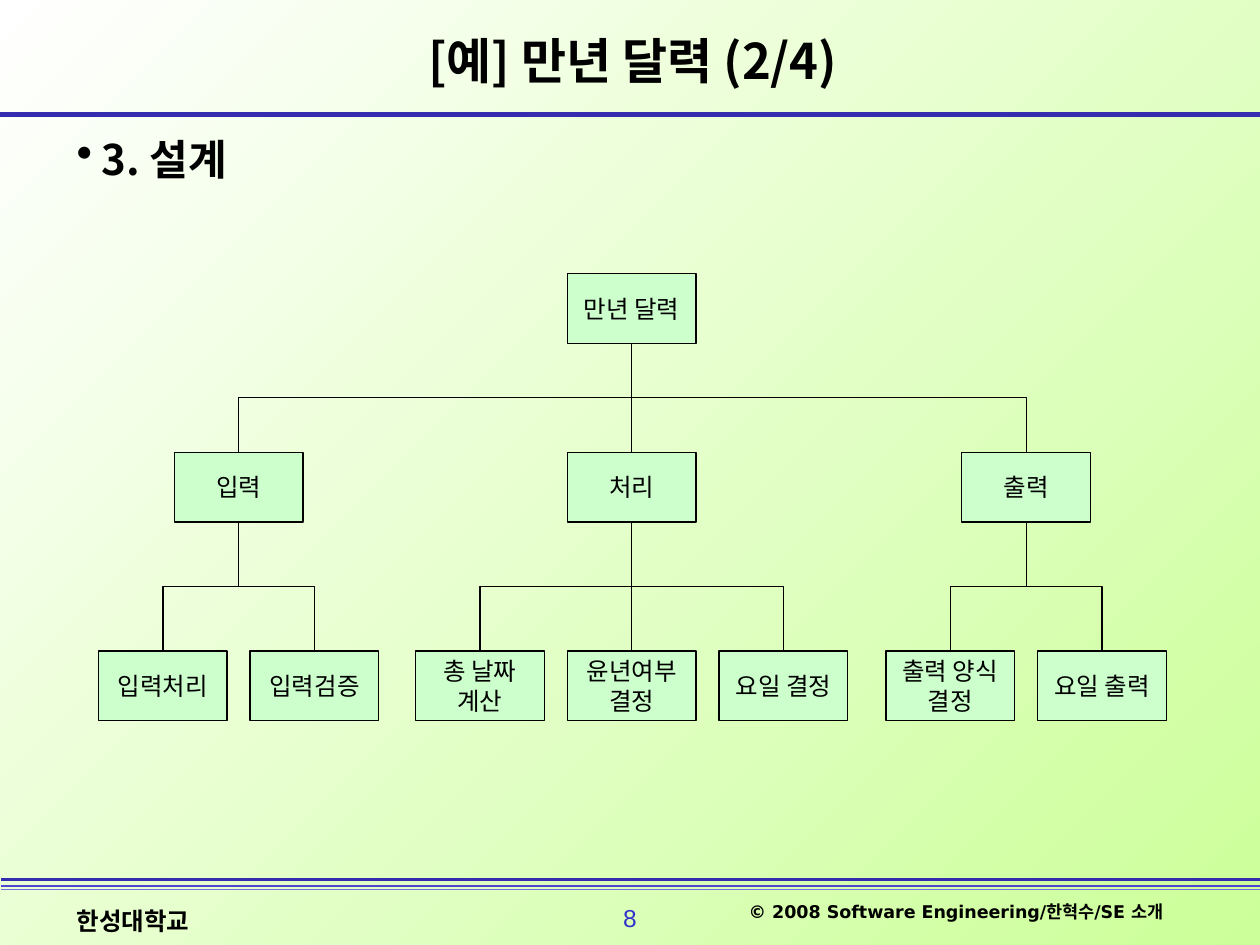
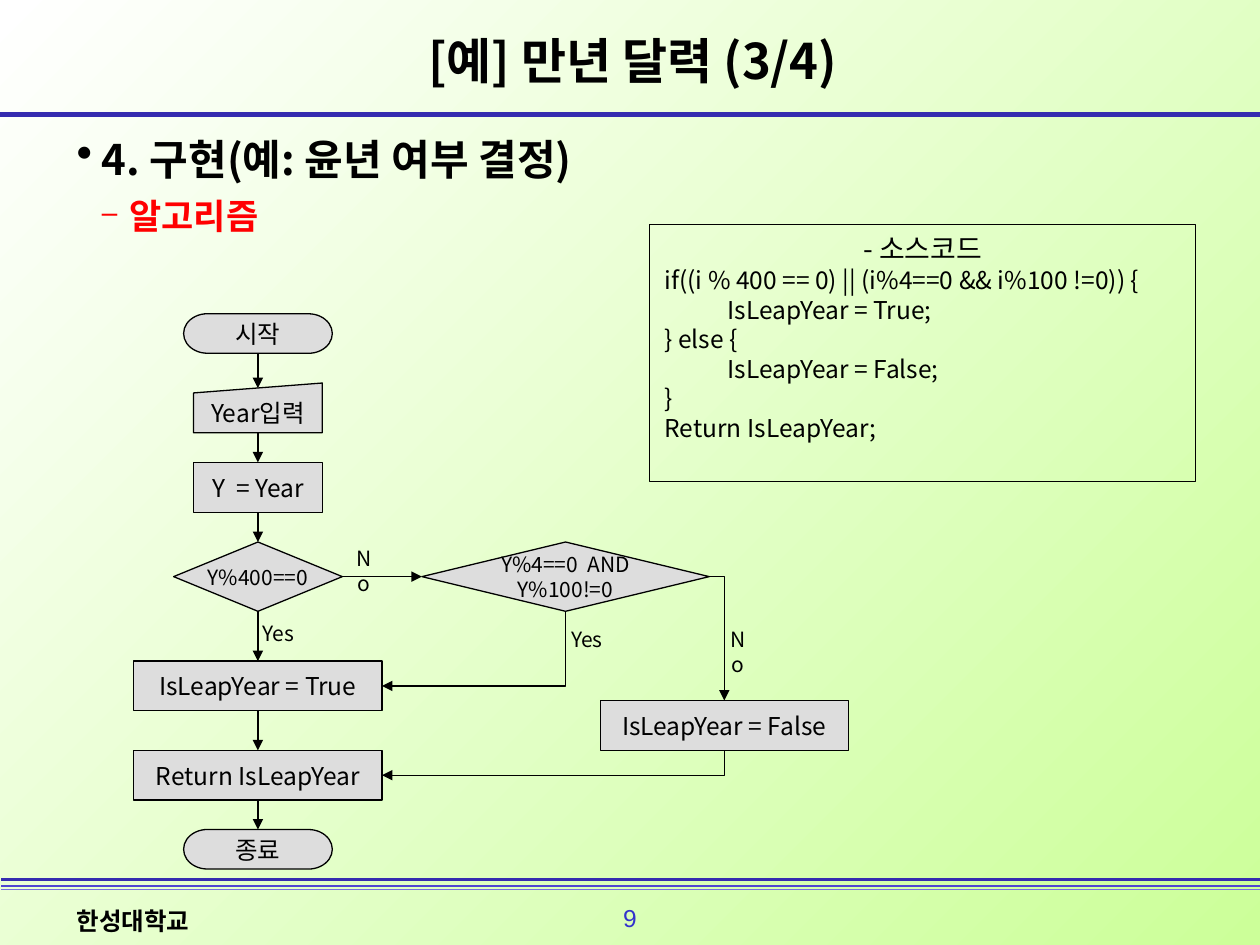
from lxml.etree import SubElement
from pptx import Presentation
from pptx.dml.color import RGBColor
from pptx.enum.shapes import MSO_CONNECTOR, MSO_SHAPE
from pptx.enum.text import MSO_ANCHOR, PP_ALIGN
from pptx.oxml.ns import qn
from pptx.util import Pt

COLORS = {
    "black": "000000", "white": "FFFFFF", "lime": "CCFF99", "mint": "CCFFCC",
    "gray": "DDDDDD", "red": "FF0000", "number": "3333CC",
    "band_dark": "352CB0", "band": "4F45D1", "band_light": "7870DC",
}
KOREAN = "Noto Sans CJK KR"
LINE_HEIGHT = 1.2
TOP, LEFT, BOTTOM, RIGHT = range(4)
BANDS = [
    (-3, 65.5, 723, "band_dark", 3),
    (0.7, 506.2, 720, "band", 1.5),
    (0.7, 508.3, 720, "band_light", 1),
    (0.7, 502.6, 720, "band_dark", 2.25),
]


def rgb(name):
    return RGBColor.from_string(COLORS[name])


def add_run(paragraph, text, size, color="black", bold=False, font=KOREAN):
    run = paragraph.add_run()
    run.text = text
    run.font.size = Pt(size)
    run.font.bold = bold
    run.font.name = font
    run.font.color.rgb = rgb(color)
    east_asian = SubElement(run.font._element, qn("a:ea"))
    east_asian.set("typeface", KOREAN)
    if font == KOREAN:
        paragraph.line_spacing = Pt(size * LINE_HEIGHT)


def set_frame(shape, insets, wrap, anchor):
    frame = shape.text_frame
    frame.margin_left, frame.margin_top, frame.margin_right, frame.margin_bottom = map(Pt, insets)
    frame.word_wrap = wrap
    frame.vertical_anchor = anchor
    return frame


def write_lines(frame, lines, size, align, **style):
    for index, line in enumerate(lines):
        paragraph = frame.paragraphs[0] if index == 0 else frame.add_paragraph()
        paragraph.alignment = align
        add_run(paragraph, line, size, **style)


def add_text(slide, box, text, size, align=PP_ALIGN.LEFT, wrap=True,
             anchor=MSO_ANCHOR.TOP, insets=(7.2, 3.6, 7.2, 3.6), **style):
    shape = slide.shapes.add_textbox(*map(Pt, box))
    write_lines(set_frame(shape, insets, wrap, anchor), [text], size, align, **style)


def add_node(slide, kind, center, top, width, height, text, fill, size=14):
    shape = slide.shapes.add_shape(
        kind, Pt(center - width / 2), Pt(top), Pt(width), Pt(height))
    shape.shadow.inherit = False
    shape.fill.solid()
    shape.fill.fore_color.rgb = rgb(fill)
    shape.line.color.rgb = rgb("black")
    shape.line.width = Pt(0.75)
    frame = set_frame(shape, (8.6, 4.3, 8.6, 4.3), False, MSO_ANCHOR.MIDDLE)
    write_lines(frame, text.split("\n"), size, PP_ALIGN.CENTER)
    return shape


def add_line(slide, start, end, kind=MSO_CONNECTOR.STRAIGHT, color="black",
             width=0.75, arrow=False):
    connector = slide.shapes.add_connector(kind, *map(Pt, (*start, *end)))
    connector.line.color.rgb = rgb(color)
    connector.line.width = Pt(width)
    if arrow:
        SubElement(connector.line._ln, qn("a:tailEnd")).set("type", "triangle")
    SubElement(connector._element.spPr, qn("a:effectLst"))
    return connector


def side(shape, index):
    x, y = shape.left.pt, shape.top.pt
    width, height = shape.width.pt, shape.height.pt
    return [(x + width / 2, y), (x, y + height / 2),
            (x + width / 2, y + height), (x + width, y + height / 2)][index]


def link(slide, first, second, begin=BOTTOM, end=TOP, arrow=False):
    connector = add_line(slide, side(first, begin), side(second, end), arrow=arrow)
    connector.begin_connect(first, begin)
    connector.end_connect(second, end)


def add_elbow(slide, start, end, down_first=True, corner=False, arrow=False):
    (x1, y1), (x2, y2) = start, end
    if down_first:
        middle_x, middle_y = (x1 + x2) / 2, (y1 + y2) / 2
        half_width, half_height = (y2 - y1) / 2, abs(x2 - x1) / 2
        start = middle_x - half_width, middle_y - half_height
        end = middle_x + half_width, middle_y + half_height
    connector = add_line(slide, start, end, MSO_CONNECTOR.ELBOW, arrow=arrow)
    properties = connector._element.spPr
    if down_first:
        transform = properties.find(qn("a:xfrm"))
        transform.set("rot", "5400000" if x2 < x1 else "16200000")
        if x2 > x1:
            transform.set("flipH", "1")
    if corner:
        properties.find(qn("a:prstGeom")).set("prst", "bentConnector2")


def add_bullet(frame, text, size, mark, percent, margin, hanging, color="black"):
    first = not frame.paragraphs[0].runs
    paragraph = frame.paragraphs[0] if first else frame.add_paragraph()
    properties = paragraph._p.get_or_add_pPr()
    properties.set("marL", str(Pt(margin)))
    properties.set("indent", str(-Pt(hanging)))
    SubElement(properties, qn("a:buSzPct")).set("val", str(percent * 1000))
    SubElement(properties, qn("a:buChar")).set("char", mark)
    if not first:
        paragraph.space_before = Pt(6)
    add_run(paragraph, text, size, color, bold=True)


def start_slide(presentation, title, number, heading, subheading=None):
    slide = presentation.slides.add_slide(presentation.slide_layouts[6])
    background = slide.background.fill
    background.gradient()
    background.gradient_angle = 315
    for stop, color in zip(background.gradient_stops, ("white", "lime")):
        stop.color.rgb = rgb(color)
    for left, y, length, color, width in BANDS:
        add_line(slide, (left, y), (left + length, y), color=color, width=width)
    add_text(slide, (344, 512.6, 32, 24), str(number), 14, PP_ALIGN.CENTER,
             wrap=False, color="number", font="Arial")
    add_text(slide, (36.7, 514, 204.5, 24), "한성대학교", 14, bold=True)
    add_text(slide, (178.6, 22, 365.8, 25), title, 28, PP_ALIGN.CENTER,
             anchor=MSO_ANCHOR.MIDDLE, bold=True)
    body = slide.shapes.add_textbox(Pt(36.7), Pt(72.8), Pt(633), Pt(409))
    frame = set_frame(body, (7.2, 3.6, 7.2, 3.6), True, MSO_ANCHOR.TOP)
    add_bullet(frame, heading, 24, "•", 110, 14.4, 14.4)
    if subheading:
        add_bullet(frame, subheading, 20, "–", 80, 30.2, 15.8, "red")
    return slide


def add_branch(slide, parent, child):
    start, end = side(parent, BOTTOM), side(child, TOP)
    if abs(start[0] - end[0]) < 0.1:
        link(slide, parent, child)
    else:
        add_elbow(slide, start, end)


def build_design(presentation):
    slide = start_slide(presentation, "[예] 만년 달력 (2/4)", 8, "3. 설계")
    modules = [
        ("입력", 136.4, ["입력처리", "입력검증"]),
        ("처리", 361, ["총 날짜\n계산", "윤년여부\n결정", "요일 결정"]),
        ("출력", 586.4, ["출력 양식\n결정", "요일 출력"]),
    ]
    leaf_step = 86.7

    def add_module(text, center, top):
        return add_node(slide, MSO_SHAPE.RECTANGLE, center, top, 73.6, 39.8, text, "mint")

    root = add_module("만년 달력", 361, 156.4)
    for name, center, leaves in modules:
        module = add_module(name, center, 258.5)
        add_branch(slide, root, module)
        for index, leaf in enumerate(leaves):
            offset = (index - (len(leaves) - 1) / 2) * leaf_step
            add_branch(slide, module, add_module(leaf, center + offset, 372))
    add_text(slide, (401.8, 511.2, 270, 19.4), "© 2008 Software Engineering/한혁수/SE 소개",
             10, PP_ALIGN.RIGHT, bold=True, font="DejaVu Sans")


def add_source_code(slide):
    shape = slide.shapes.add_shape(
        MSO_SHAPE.RECTANGLE, Pt(371.2), Pt(128.2), Pt(312), Pt(147))
    shape.shadow.inherit = False
    shape.fill.background()
    shape.line.color.rgb = rgb("black")
    shape.line.width = Pt(0.75)
    frame = set_frame(shape, (8.6, 4.3, 8.6, 4.3), True, MSO_ANCHOR.TOP)
    write_lines(frame, ["- 소스코드"], 16, PP_ALIGN.CENTER)
    for line in ["if((i % 400 == 0) || (i%4==0 && i%100 !=0)) {", "\tIsLeapYear = True;",
                 "} else {", "\tIsLeapYear = False;", "}", "Return IsLeapYear;"]:
        paragraph = frame.add_paragraph()
        paragraph.alignment = PP_ALIGN.LEFT
        add_run(paragraph, line, 14)


def build_algorithm(presentation):
    slide = start_slide(presentation, "[예] 만년 달력 (3/4)", 9,
                        "4. 구현(예: 윤년 여부 결정)", "알고리즘")
    add_source_code(slide)
    column = 147.4
    terminator, process = MSO_SHAPE.FLOWCHART_TERMINATOR, MSO_SHAPE.FLOWCHART_PROCESS
    decision = MSO_SHAPE.FLOWCHART_DECISION
    steps = [
        (terminator, 179.3, 85, 22.6, "시작", 14),
        (MSO_SHAPE.FLOWCHART_MANUAL_INPUT, 218.9, 73.6, 28.4, "Year입력", 14),
        (process, 264.2, 73.6, 28.6, "Y  = Year", 14),
        (decision, 309.7, 96.4, 39.6, "Y%400==0", 12),
        (process, 377.8, 141.8, 28.4, "IsLeapYear = True", 14),
        (process, 428.8, 141.8, 28.4, "Return IsLeapYear", 14),
        (terminator, 474, 85, 22.6, "종료", 14),
    ]
    nodes = [add_node(slide, kind, column, top, width, height, text, "gray", size)
             for kind, top, width, height, text, size in steps]
    start, year_input, _, by_400, is_true, result, _ = nodes
    by_4 = add_node(slide, decision, 323.2, 309.7, 164.2, 39.6,
                    "Y%4==0  AND\nY%100!=0", "gray", 12)
    is_false = add_node(slide, process, 413.9, 400.3, 141.8, 28.4,
                        "IsLeapYear = False", "gray")

    entry = add_line(slide, side(start, BOTTOM), (column, 221.8), arrow=True)
    entry.begin_connect(start, BOTTOM)
    for first, second in zip(nodes[1:], nodes[2:]):
        link(slide, first, second, arrow=True)
    link(slide, by_400, by_4, RIGHT, LEFT, arrow=True)
    add_elbow(slide, side(by_4, RIGHT), side(is_false, TOP),
              down_first=False, corner=True, arrow=True)
    for first, second in [(is_false, result), (by_4, is_true)]:
        add_elbow(slide, side(first, BOTTOM), side(second, RIGHT), corner=True, arrow=True)

    for left, top in [(140, 350), (316.3, 353.5)]:
        add_text(slide, (left, top, 38.2, 23), "Yes", 12, PP_ALIGN.CENTER,
                 wrap=False, insets=(8.6, 4.3, 8.6, 4.3))
    for left, top in [(409.7, 353.5), (195.8, 307.4)]:
        add_text(slide, (left, top, 33.1, 23), "No", 12, PP_ALIGN.CENTER,
                 insets=(7.2, 4.3, 15.8, 4.3))


def main():
    presentation = Presentation()
    presentation.slide_width, presentation.slide_height = Pt(720), Pt(540)
    build_design(presentation)
    build_algorithm(presentation)
    presentation.save("out.pptx")


if __name__ == "__main__":
    main()
